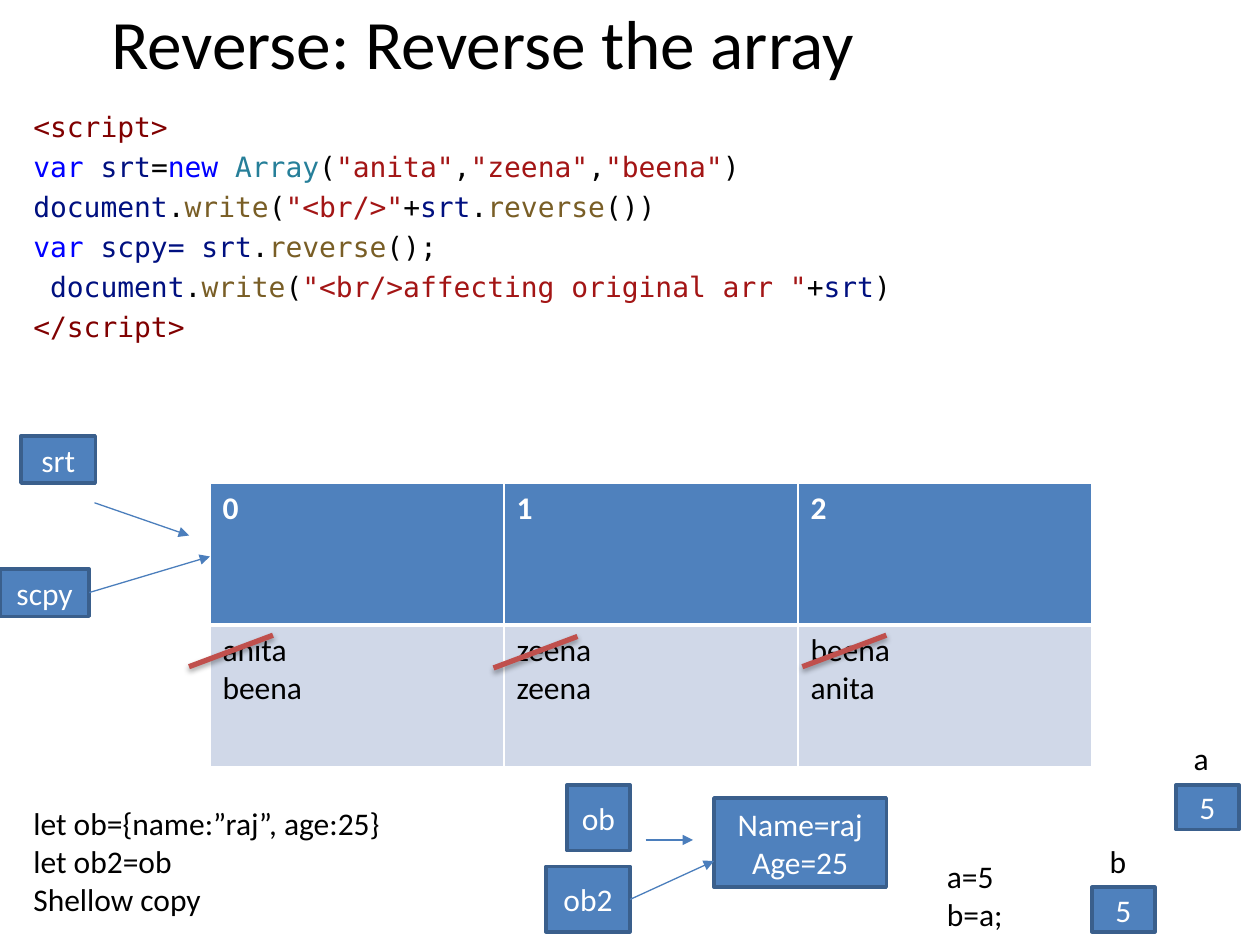
from lxml import etree
from pptx import Presentation
from pptx import util as u
from pptx.dml import color
from pptx.enum import shapes, text
from pptx.oxml import ns

LEFT, CENTER = text.PP_ALIGN.LEFT, text.PP_ALIGN.CENTER
TOP, MIDDLE = text.MSO_ANCHOR.TOP, text.MSO_ANCHOR.MIDDLE
BODY = {"name": "Calibri", "size": u.Pt(18), "bold": False}
HEADER = {**BODY, "bold": True}
TITLE = {**BODY, "size": u.Pt(39.6)}
CODE = {**BODY, "name": "DejaVu Sans Mono", "size": u.Pt(16)}
BLACK, WHITE = "000000", "FFFFFF"
BLUE, EDGE, PALE, ARROW, STRIKE = "4F81BD", "3A5F8C", "D0D8E8", "4B7EBC", "C0504D"
TAG, KEYWORD, NAME = "800000", "0000FF", "001080"
TYPE, STRING, CALL = "267F99", "A31515", "795E26"

SCRIPT = [
    [("<script>", TAG)],
    [("var ", KEYWORD), ("srt", NAME), ("=", BLACK), ("new ", KEYWORD),
     ("Array", TYPE), ("(", BLACK), ('"anita"', STRING), (",", BLACK),
     ('"zeena"', STRING), (",", BLACK), ('"beena"', STRING), (")", BLACK)],
    [("document", NAME), (".", BLACK), ("write", CALL), ("(", BLACK),
     ('"<br/>"', STRING), ("+", BLACK), ("srt", NAME), (".", BLACK),
     ("reverse", CALL), ("())", BLACK)],
    [("var ", KEYWORD), ("scpy= srt", NAME), (".", BLACK),
     ("reverse", CALL), ("();", BLACK)],
    [(" ", BLACK), ("document", NAME), (".", BLACK), ("write", CALL),
     ("(", BLACK), ('"<br/>affecting original arr "', STRING),
     ("+", BLACK), ("srt", NAME), (")", BLACK)],
    [("</script>", TAG)],
]


def rgb(value):
    return color.RGBColor.from_string(value)


def points(*values):
    return [u.Pt(value) for value in values]


def plain(words, tint=BLACK):
    return [[(line, tint)] for line in words.split("\n")]


def add_element(parent, tag, **attributes):
    return etree.SubElement(parent, ns.qn(tag), attributes)


class SlideBuilder:
    """Hold the style and the current slide, and draw each kind of element."""

    def __init__(self, deck):
        self.slide = deck.slides.add_slide(deck.slide_layouts[6])

    def fill_text(self, frame, lines, style=BODY, align=LEFT, before=0):
        for index, line in enumerate(lines):
            para = frame.paragraphs[0] if index == 0 else frame.add_paragraph()
            para.alignment = align
            para.space_before = u.Pt(before)
            for words, tint in line:
                span = para.add_run()
                span.text = words
                span.font.color.rgb = rgb(tint)
                for key, value in style.items():
                    setattr(span.font, key, value)

    def label(self, place, lines, anchor=TOP, grow=True, **format_values):
        frame = self.slide.shapes.add_textbox(*points(*place)).text_frame
        frame.word_wrap = True
        frame.vertical_anchor = anchor
        sizing = text.MSO_AUTO_SIZE
        frame.auto_size = sizing.SHAPE_TO_FIT_TEXT if grow else sizing.NONE
        self.fill_text(frame, lines, **format_values)

    def box(self, place, words):
        box = self.slide.shapes.add_shape(shapes.MSO_SHAPE.RECTANGLE, *points(*place))
        box.shadow.inherit = False
        box.fill.solid()
        box.fill.fore_color.rgb = rgb(BLUE)
        box.line.color.rgb = rgb(EDGE)
        box.line.width = u.Pt(2)
        box.text_frame.word_wrap = True
        box.text_frame.vertical_anchor = MIDDLE
        self.fill_text(box.text_frame, plain(words, WHITE), align=CENTER)

    def line(self, ends, tint, width):
        line = self.slide.shapes.add_connector(
            shapes.MSO_CONNECTOR.STRAIGHT, *points(*ends))
        line.line.color.rgb = rgb(tint)
        line.line.width = u.Pt(width)
        effects = add_element(line._element.spPr, "a:effectLst")
        return line, effects

    def arrow(self, *ends):
        line, _ = self.line(ends, ARROW, 0.75)
        add_element(line._element.spPr.get_or_add_ln(), "a:tailEnd", type="triangle")

    def strike(self, *ends):
        _, effects = self.line(ends, STRIKE, 3)
        shadow = add_element(effects, "a:outerShdw", blurRad=str(u.Pt(3.1)),
                             dist=str(u.Pt(1.8)), dir="5400000", rotWithShape="0")
        shade = add_element(shadow, "a:srgbClr", val=BLACK)
        add_element(shade, "a:alpha", val="35000")

    def table(self, place, rows):
        table = self.slide.shapes.add_table(
            len(rows), len(rows[0]), *points(*place)).table
        for row, words in enumerate(rows):
            head = row == 0
            for column, entry in enumerate(words):
                cell = table.cell(row, column)
                self.fill_text(cell.text_frame, plain(entry, WHITE if head else BLACK),
                               HEADER if head else BODY)
                self.borders(cell, {"T": 1 if head else 3, "B": 3 if head else 1})
                cell.fill.solid()
                cell.fill.fore_color.rgb = rgb(BLUE if head else PALE)

    def borders(self, cell, widths):
        properties = cell._tc.get_or_add_tcPr()
        for side in "LRTB":
            edge = add_element(properties, f"a:ln{side}", w=str(u.Pt(widths.get(side, 1))))
            fill = add_element(edge, "a:solidFill")
            add_element(fill, "a:srgbClr", val=WHITE)


def main():
    deck = Presentation()
    deck.slide_width, deck.slide_height = points(720, 540)
    page = SlideBuilder(deck)

    page.label((36, 0, 480, 48), plain("Reverse: Reverse the array"), MIDDLE,
               grow=False, style=TITLE, align=CENTER)
    page.label((12, 59, 576, 156), SCRIPT, grow=False, style=CODE, before=3.7)

    page.table((120, 276, 504, 162.4),
               [["0", "1", "2"], ["anita\nbeena", "zeena\nzeena", "beena\nanita"]])
    for left, top in [(108, 363), (282, 363.7), (458.5, 363)]:
        page.strike(left, top + 18, left + 48, top)

    for place, words in [
        ((12, 249, 42.5, 27), "srt"),
        ((0, 325.2, 51, 27), "scpy"),
        ((408, 456, 98.5, 51), "Name=raj\nAge=25"),
        ((324, 448.5, 36, 37.5), "ob"),
        ((312, 495, 48, 37.5), "ob2"),
        ((672, 448.5, 36, 25.5), "5"),
        ((624, 507, 36, 25.5), "5"),
    ]:
        page.box(place, words)

    page.arrow(54, 287.3, 108, 306)
    page.arrow(51, 338.6, 120, 318)
    page.arrow(369, 480, 396, 480)
    page.arrow(360, 514, 408, 492)

    for place, words in [
        ((12, 456, 288, 72.7), "let ob={name:”raj”, age:25}\nlet ob2=ob\nShellow copy"),
        ((675, 419, 30, 29), "a"),
        ((534, 486, 117, 51), "a=5\nb=a;"),
        ((627, 477.5, 30, 29), "b"),
    ]:
        page.label(place, plain(words))

    deck.save("out.pptx")


if __name__ == "__main__":
    main()
